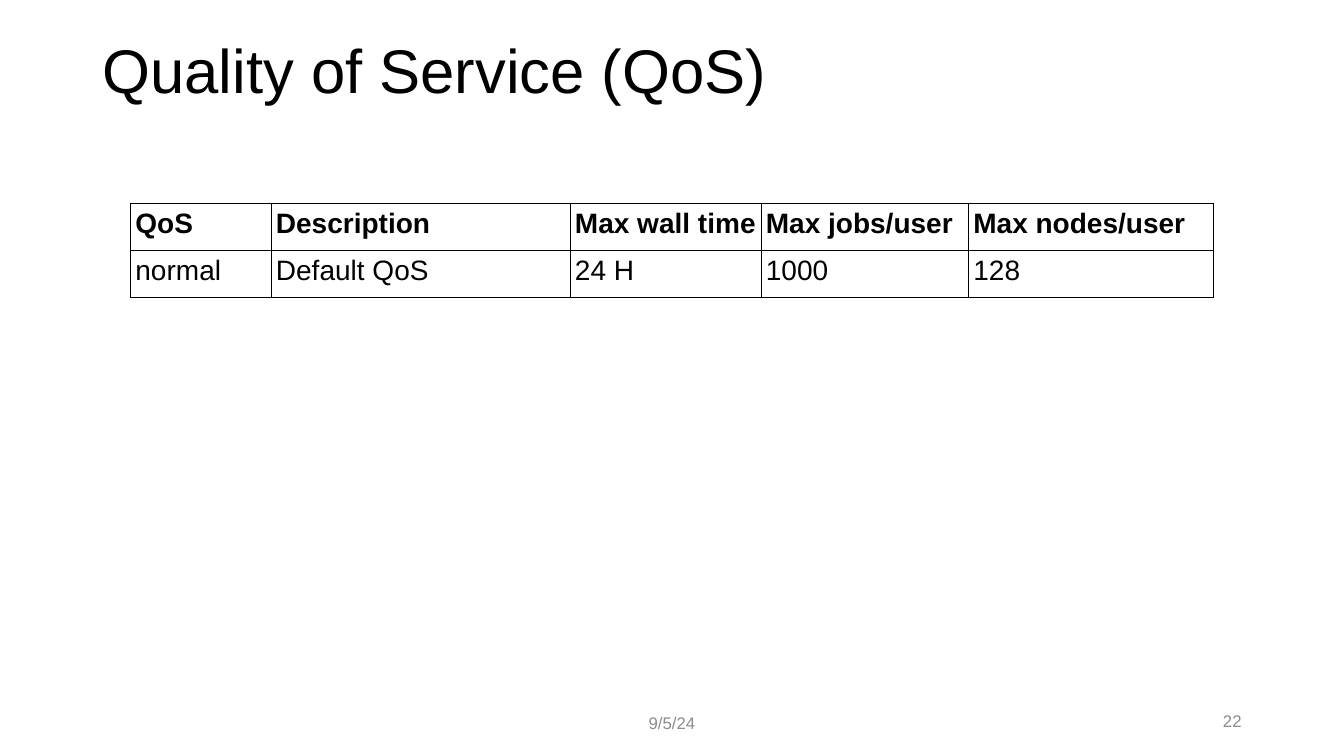
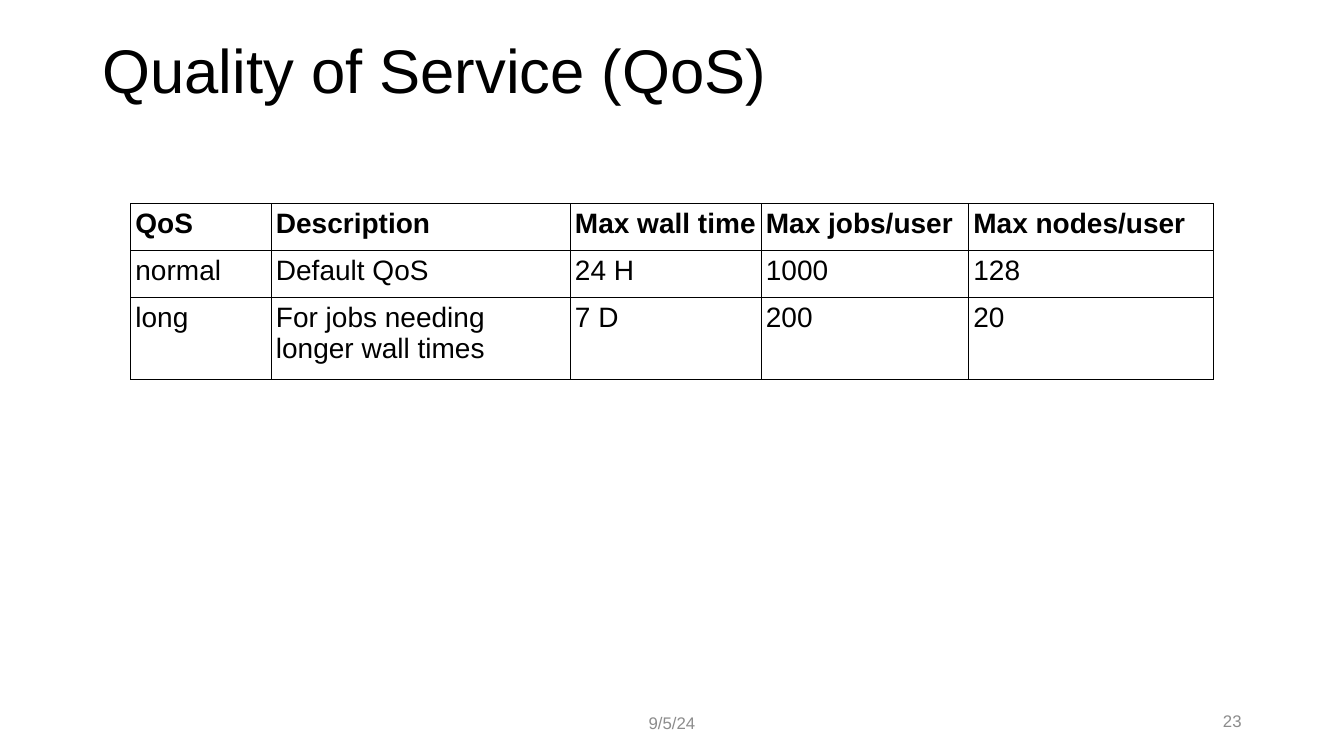
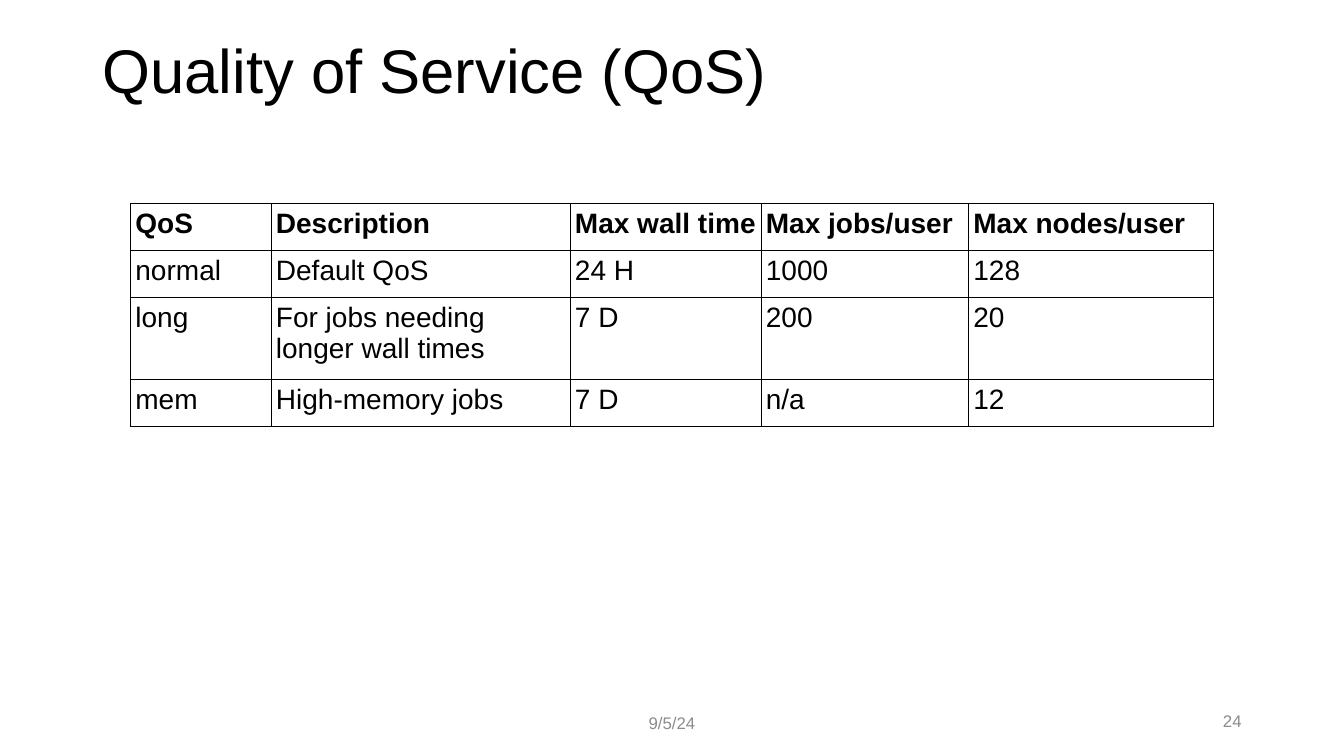
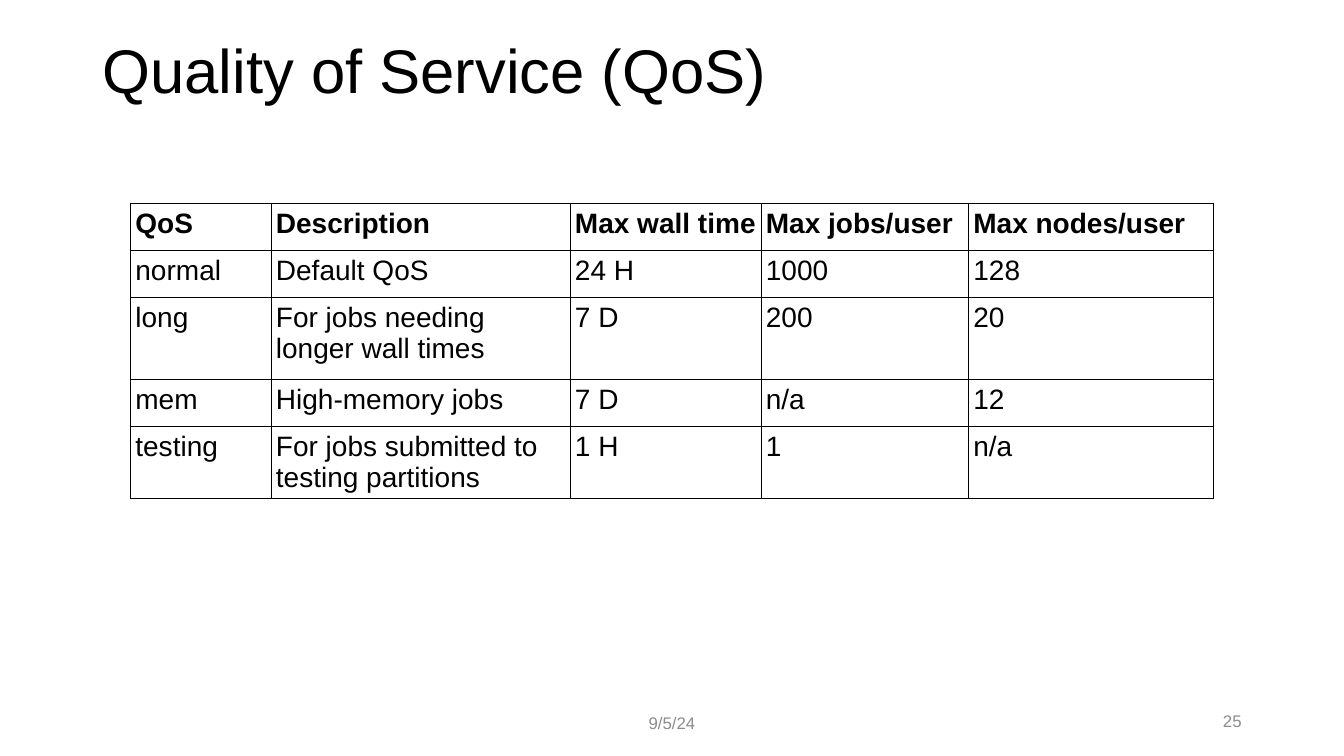
"""Build four slides that reveal a Quality of Service table row by row."""
from typing import NamedTuple

from lxml.etree import SubElement
from pptx import Presentation
from pptx.dml.color import RGBColor
from pptx.enum.text import MSO_ANCHOR, PP_ALIGN
from pptx.oxml.ns import qn
from pptx.slide import Slide
from pptx.table import _Cell as Cell
from pptx.text.text import _Paragraph as Paragraph
from pptx.util import Pt

FONT = "Arial"
BLACK = RGBColor(0x00, 0x00, 0x00)
GRAY = RGBColor(0x8C, 0x8C, 0x8C)

TABLE_LEFT, TABLE_TOP = 93.5, 145.4
COL_WIDTHS = (100.4, 213.6, 136.4, 148.2, 174.6)
CELL_INSET = 3.25
CELL_TOP_INSET = 3.6
BORDER_WIDTH = 0.75
FIRST_PAGE = 22


class Label(NamedTuple):
    """A text box with one line of text."""

    left: float
    top: float
    width: float
    height: float
    size: float
    color: RGBColor
    align: PP_ALIGN
    spacing: float = 1.0


class Row(NamedTuple):
    """A table row with its height."""

    height: float
    cells: tuple[str, ...]


TITLE = Label(66.2, 0, 828, 104.4, 44, BLACK, PP_ALIGN.LEFT, 0.9)
DATE = Label(372, 502, 216, 28.8, 12, GRAY, PP_ALIGN.CENTER)
PAGE = Label(678, 500.4, 216, 28.8, 12, GRAY, PP_ALIGN.RIGHT)

HEADER = Row(33.5, ("QoS", "Description", "Max wall time",
                    "Max jobs/user", "Max nodes/user"))
QOS_ROWS = (
    Row(33.5, ("normal", "Default QoS", "24 H", "1000", "128")),
    Row(58.7, ("long", "For jobs needing longer wall times", "7 D", "200", "20")),
    Row(33.5, ("mem", "High-memory jobs", "7 D", "n/a", "12")),
    Row(51, ("testing", "For jobs submitted to testing partitions",
             "1 H", "1", "n/a")),
)


def set_font(p: Paragraph, size: float, color: RGBColor, bold: bool = False) -> None:
    """Set the font of a paragraph."""
    p.font.name = FONT
    p.font.size = Pt(size)
    p.font.bold = bold
    p.font.color.rgb = color


def add_label(s: Slide, label: Label, text: str) -> None:
    """Add a vertically centred text box."""
    sp = s.shapes.add_textbox(Pt(label.left), Pt(label.top),
                              Pt(label.width), Pt(label.height))
    tf = sp.text_frame
    tf.word_wrap = True
    tf.vertical_anchor = MSO_ANCHOR.MIDDLE
    p = tf.paragraphs[0]
    p.text = text
    p.alignment = label.align
    p.line_spacing = label.spacing
    set_font(p, label.size, label.color)


def add_borders(cell: Cell) -> None:
    """Draw a thin black line on every side of a cell."""
    tc_pr = cell._tc.get_or_add_tcPr()
    for side in ("a:lnL", "a:lnR", "a:lnT", "a:lnB"):
        ln = SubElement(tc_pr, qn(side), w=str(Pt(BORDER_WIDTH)))
        fill = SubElement(ln, qn("a:solidFill"))
        SubElement(fill, qn("a:srgbClr"), val=str(BLACK))


def fill_cell(cell: Cell, text: str, bold: bool) -> None:
    """Write and format one table cell."""
    cell.margin_left = cell.margin_right = Pt(CELL_INSET)
    cell.margin_top = Pt(CELL_TOP_INSET)
    cell.margin_bottom = Pt(0)
    add_borders(cell)
    cell.fill.background()
    p = cell.text_frame.paragraphs[0]
    p.text = text
    set_font(p, 20, BLACK, bold)


def add_qos_table(s: Slide, rows: tuple[Row, ...]) -> None:
    """Add a bordered table whose first row is the header."""
    table = s.shapes.add_table(
        len(rows), len(COL_WIDTHS), Pt(TABLE_LEFT), Pt(TABLE_TOP),
        Pt(sum(COL_WIDTHS)), Pt(sum(row.height for row in rows))).table
    table.horz_banding = False
    for col, width in zip(table.columns, COL_WIDTHS):
        col.width = Pt(width)
    for i, row in enumerate(rows):
        table.rows[i].height = Pt(row.height)
        for j, text in enumerate(row.cells):
            fill_cell(table.cell(i, j), text, bold=i == 0)


def main() -> None:
    """Build and save the presentation."""
    prs = Presentation()
    prs.slide_width, prs.slide_height = Pt(960), Pt(540)
    for i in range(len(QOS_ROWS)):
        s = prs.slides.add_slide(prs.slide_layouts[6])
        add_label(s, TITLE, "Quality of Service (QoS)")
        add_label(s, DATE, "9/5/24")
        add_label(s, PAGE, str(FIRST_PAGE + i))
        add_qos_table(s, (HEADER, *QOS_ROWS[:i + 1]))
    prs.save("out.pptx")


if __name__ == "__main__":
    main()
